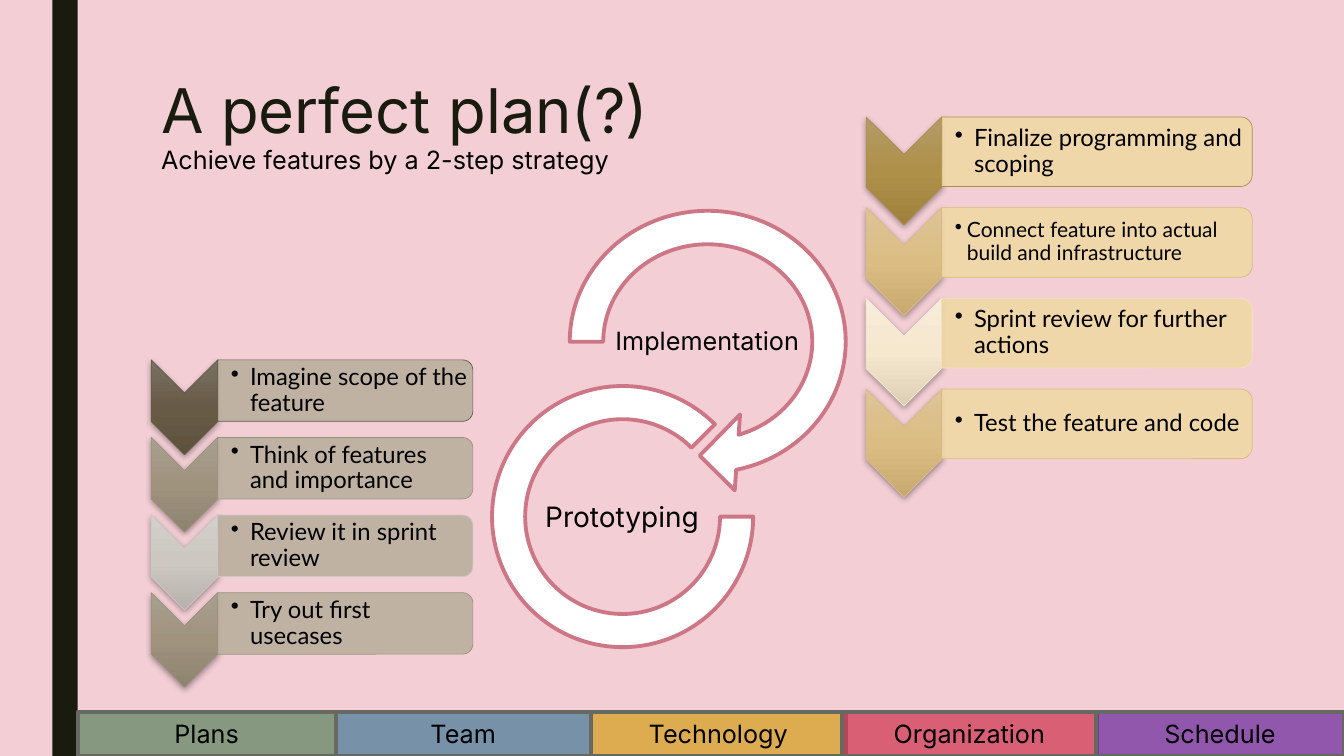
import pptx
import pptx.util
import pptx.dml.color
import pptx.enum.shapes
import pptx.enum.text
import pptx.oxml
import pptx.oxml.ns

INK = {"dark": "191B0E", "black": "000000", "white": "FFFFFF", "back": "F3CED5",
       "frame": "686863", "rose": "CD7786", "sand": "F0D9A5", "stone": "BAB09E",
       "green": "638764", "blue": "4D7D99", "gold": "D7A124", "red": "D13B56",
       "plum": "7030A0"}
KIND = pptx.enum.shapes.MSO_SHAPE
ALIGN = pptx.enum.text.PP_ALIGN
ANCHOR = pptx.enum.text.MSO_ANCHOR
INCH = pptx.util.Inches
RGB = pptx.dml.color.RGBColor.from_string
SPACE = pptx.oxml.ns.nsdecls("a")


def write(item, words, size=18, font="Inter", ink="black", align=ALIGN.LEFT,
          anchor=ANCHOR.MIDDLE, lead=1.0, pads=(0.1, 0.05), hang=0):
    frame = item.text_frame
    frame.word_wrap = True
    frame.auto_size = pptx.enum.text.MSO_AUTO_SIZE.NONE
    frame.vertical_anchor = anchor
    frame.margin_left = INCH(pads[0])
    frame.margin_right = INCH(pads[-1] if hang else pads[0])
    frame.margin_top = frame.margin_bottom = INCH(pads[1])
    para = frame.paragraphs[0]
    para.alignment = align
    para.line_spacing = lead
    run = para.add_run()
    run.text = words
    run.font.size = pptx.util.Pt(size)
    run.font.name = font
    run.font.color.rgb = RGB(INK[ink])
    if hang:
        props = para._p.get_or_add_pPr()
        props.set("marL", str(INCH(hang)))
        props.set("indent", str(-INCH(hang)))
        props.append(pptx.oxml.parse_xml(f'<a:buChar {SPACE} char="•"/>'))


def draw(kind, left, top, width, height, fill, line=None, weight=0.5, clear=100, turn=0):
    if turn:
        left, top = left + (width - height) / 2, top + (height - width) / 2
        width, height = height, width
    item = slide.shapes.add_shape(kind, INCH(left), INCH(top), INCH(width), INCH(height))
    item.rotation = turn
    item.shadow.inherit = False
    item.fill.solid()
    item.fill.fore_color.rgb = RGB(fill)
    if clear < 100:
        tint = item._element.spPr.find(".//" + pptx.oxml.ns.qn("a:srgbClr"))
        tint.append(pptx.oxml.parse_xml(f'<a:alpha {SPACE} val="{clear * 1000}"/>'))
    if line:
        item.line.color.rgb = RGB(line)
        item.line.width = pptx.util.Pt(weight)
    else:
        item.line.fill.background()
    return item


deck = pptx.Presentation()
deck.slide_width, deck.slide_height = INCH(13.33), INCH(7.5)
slide = deck.slides.add_slide(deck.slide_layouts[5])
slide.background.fill.solid()
slide.background.fill.fore_color.rgb = RGB(INK["back"])

title = slide.shapes.title
title.left, title.top, title.width, title.height = map(INCH, (1.5, 0.75, 10.5, 1.62))
write(title, "A perfect plan(?)", size=44, ink="dark", anchor=ANCHOR.TOP, lead=0.89)

draw(KIND.RECTANGLE, 0.52, 0, 0.25, 7.5, INK["dark"])
for label, tone, left, width in (
        ("Plans", "green", 0.77, 2.56), ("Team", "blue", 3.33, 2.53),
        ("Technology", "gold", 5.86, 2.53), ("Organization", "red", 8.35, 2.53),
        ("Schedule", "plum", 10.87, 2.46)):
    tab = draw(KIND.RECTANGLE, left, 7.06, width, 0.44, INK[tone], INK["frame"], 2.75, 75)
    write(tab, label, align=ALIGN.CENTER)

note = slide.shapes.add_textbox(*map(INCH, (1.5, 1.38, 4.94, 0.71)))
write(note, "Achieve features by a 2-step strategy", anchor=ANCHOR.TOP)

for kind, place, bends, label, spot, size in (
        (KIND.CIRCULAR_ARROW, (5.44, 1.88, 3.16, 3.02), (0.11, 11.42, 45, 108, 0.125),
         "Implementation", (5.41, 2.98, 3.21, 0.84), 18),
        (KIND.BLOCK_ARC, (4.88, 3.83, 2.59, 2.59), (0, 189, 0.127),
         "Prototyping", (5.33, 4.72, 1.68, 0.84), 20)):
    ring = draw(kind, *place, INK["white"], INK["rose"], 2.75)
    for at, bend in enumerate(bends):
        ring.adjustments[at] = bend
    name = slide.shapes.add_textbox(*map(INCH, spot))
    write(name, label, size=size, align=ALIGN.CENTER, lead=0.9, pads=(0.01, 0.01))

SHADE = (f'<a:effectLst {SPACE}><a:outerShdw blurRad="57150" dist="19050" dir="5400000" '
         'algn="ctr" rotWithShape="0"><a:srgbClr val="000000"><a:alpha val="35000"/>'
         '</a:srgbClr></a:outerShdw></a:effectLst>')
tan = ("DDC497", "DBBD83", "C8AA70", "D7BC87", "D6B981")
taupe = ("A89F8F", "9F937E", "8E836F", "9D9280", "9D9280")
lists = (
    (8.59, 1.16, 0.9, (0.75, 1.07), (3.08, 0.69), "sand", (
        ("Finalize programming and scoping", 17,
         ("B49B68", "AF9049", "9F813D", "AA8E4E", "AA8E4E")),
        ("Connect feature into actual build and infrastructure", 15, tan),
        ("Sprint review for further actions", 17,
         ("F7EDDB", "F6E7CF", "DDCEB6", "F5E7D1", "F2E1C4")),
        ("Test the feature and code", 17, tan))),
    (1.5, 3.57, 0.77, (0.66, 0.94), (2.53, 0.61), "stone", (
        ("Imagine scope of the feature", 17,
         ("797164", "675B46", "5D523D", "655B48", "655B48")),
        ("Think of features and importance", 17, taupe),
        ("Review it in sprint review", 17,
         ("D3CFCA", "CCC7C1", "B6B1AB", "CBC7C1", "CBC7C1")),
        ("Try out first usecases", 17, taupe))))
for left, start, pitch, (wide, tall), (span, depth), tone, steps in lists:
    for row, (words, size, tints) in enumerate(steps):
        top = start + row * pitch
        mark = draw(KIND.CHEVRON, left, top, wide, tall, tints[1], tints[3], turn=90)
        stops = "".join(f'<a:gs pos="{at * 50000}"><a:srgbClr val="{tint}"/></a:gs>'
                        for at, tint in enumerate(tints[:3]))
        props = mark._element.spPr
        for tag, xml in (
                ("a:solidFill", f'<a:gradFill {SPACE} rotWithShape="0"><a:gsLst>{stops}'
                                '</a:gsLst><a:lin ang="5400000" scaled="0"/></a:gradFill>'),
                ("a:effectLst", SHADE)):
            props.replace(props.find(pptx.oxml.ns.qn(tag)), pptx.oxml.parse_xml(xml))
        draw(KIND.ROUND_2_SAME_RECTANGLE, left + wide, top, span, depth,
             INK[tone], tints[4], clear=90, turn=90)
        label = slide.shapes.add_textbox(*map(INCH, (left + wide, top + 0.03,
                                                     span - 0.03, depth - 0.06)))
        write(label, words, size=size, font="Lato", lead=0.9, pads=(0.13, 0.01),
              hang=0.19 if size > 15 else 0.12)

deck.save("out.pptx")
